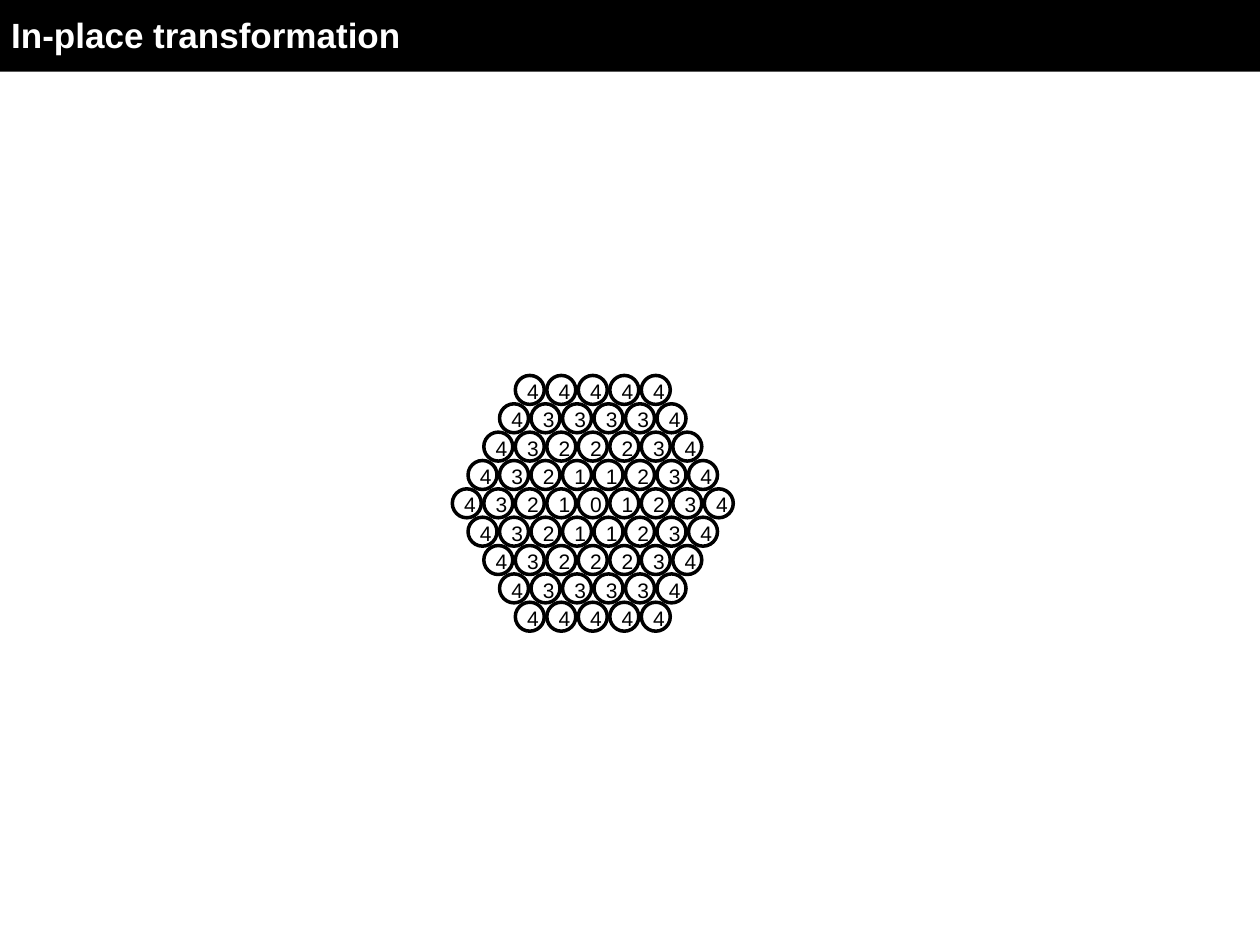
from pptx import Presentation
from pptx.dml.color import RGBColor
from pptx.enum.shapes import MSO_SHAPE
from pptx.enum.text import MSO_ANCHOR, PP_ALIGN
from pptx.util import Inches, Pt

theme = {
    "font": "Arial",
    "dark": RGBColor(0, 0, 0),
    "light": RGBColor(255, 255, 255),
    "title": Pt(20),
    "label": Pt(12),
    "line": Pt(2),
}

deck = Presentation()
deck.slide_width, deck.slide_height = Inches(10), Inches(7.5)
slide = deck.slides.add_slide(deck.slide_layouts[6])


def add_box(kind, box, text, fill, align, frame, font):
    shape = slide.shapes.add_shape(kind, *[Inches(v) for v in box])
    shape.shadow.inherit = False
    shape.fill.solid()
    shape.fill.fore_color.rgb = fill
    body = shape.text_frame
    for key, val in frame.items():
        setattr(body, key, val)
    para = body.paragraphs[0]
    para.alignment = align
    run = para.add_run()
    run.text = text
    for key, val in font.items():
        setattr(run.font, key, val)
    return shape, run


# Title bar
bar, run = add_box(
    MSO_SHAPE.RECTANGLE, (-0.01, -0.03, 10.05, 0.6),
    "In-place transformation", theme["dark"], PP_ALIGN.LEFT,
    {"vertical_anchor": MSO_ANCHOR.MIDDLE, "word_wrap": True},
    {"name": theme["font"], "size": theme["title"], "bold": True},
)
bar.line.fill.background()
run.font.color.rgb = theme["light"]

# Hexagon of circles, each labelled with its ring around the centre
rings = 4
size = 0.23
left, top = 4.59, 3.88
step_x, step_y = 0.25, 0.9 / rings
frame = {
    "vertical_anchor": MSO_ANCHOR.MIDDLE, "word_wrap": False,
    "margin_left": Inches(0.05), "margin_right": 0,
    "margin_top": Inches(0.02), "margin_bottom": 0,
}
font = {"name": theme["font"], "size": theme["label"], "bold": False}

for row in range(-rings, rings + 1):
    count = 2 * rings + 1 - abs(row)
    for i in range(count):
        col = i - (count - 1) / 2
        ring = int(max(abs(row), abs(col) + abs(row) / 2))
        ball, run = add_box(
            MSO_SHAPE.OVAL,
            (left + col * step_x, top + row * step_y, size, size),
            str(ring), theme["light"], PP_ALIGN.CENTER, frame, font,
        )
        ball.line.color.rgb = theme["dark"]
        ball.line.width = theme["line"]
        run.font.color.rgb = theme["dark"]

deck.save("out.pptx")
